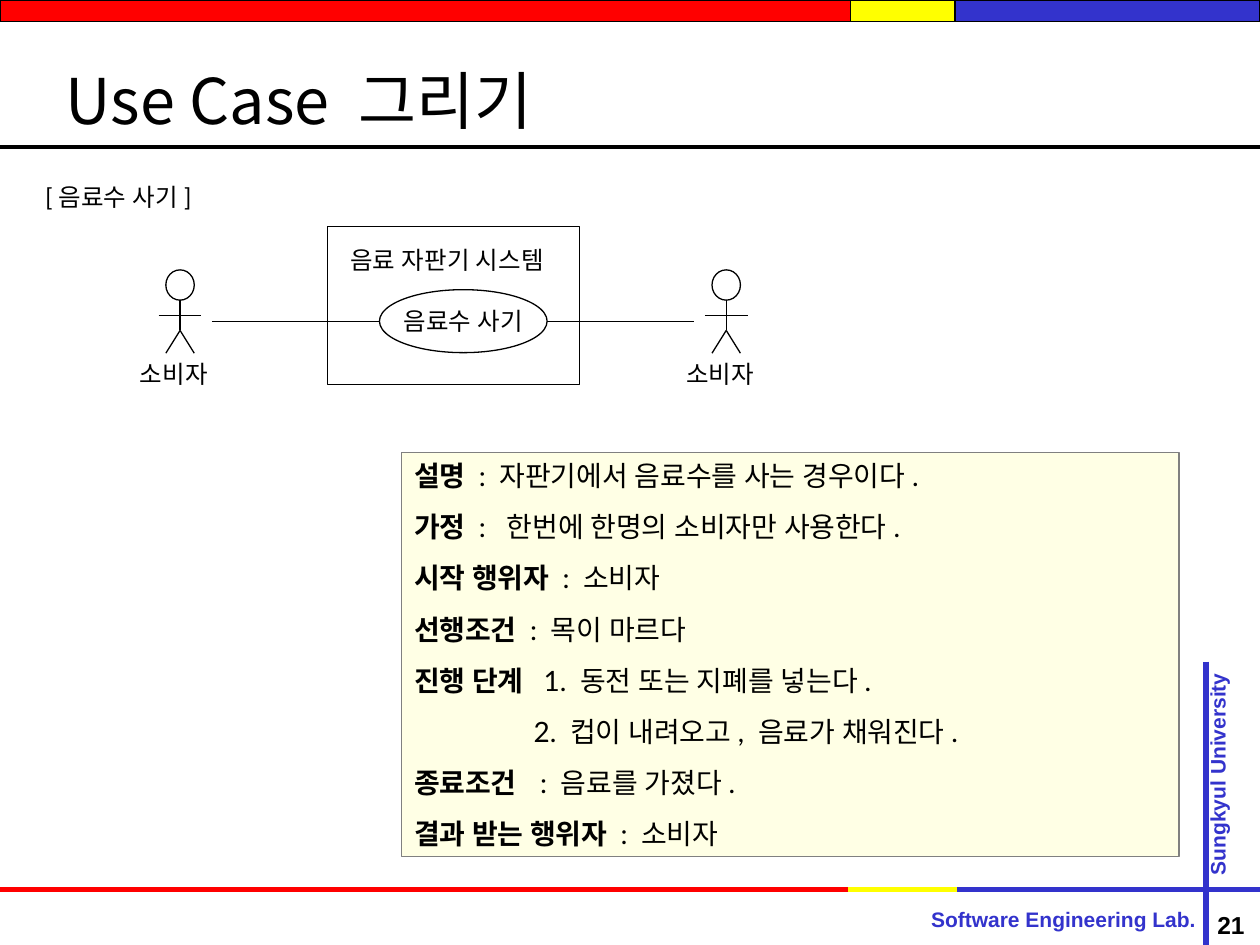
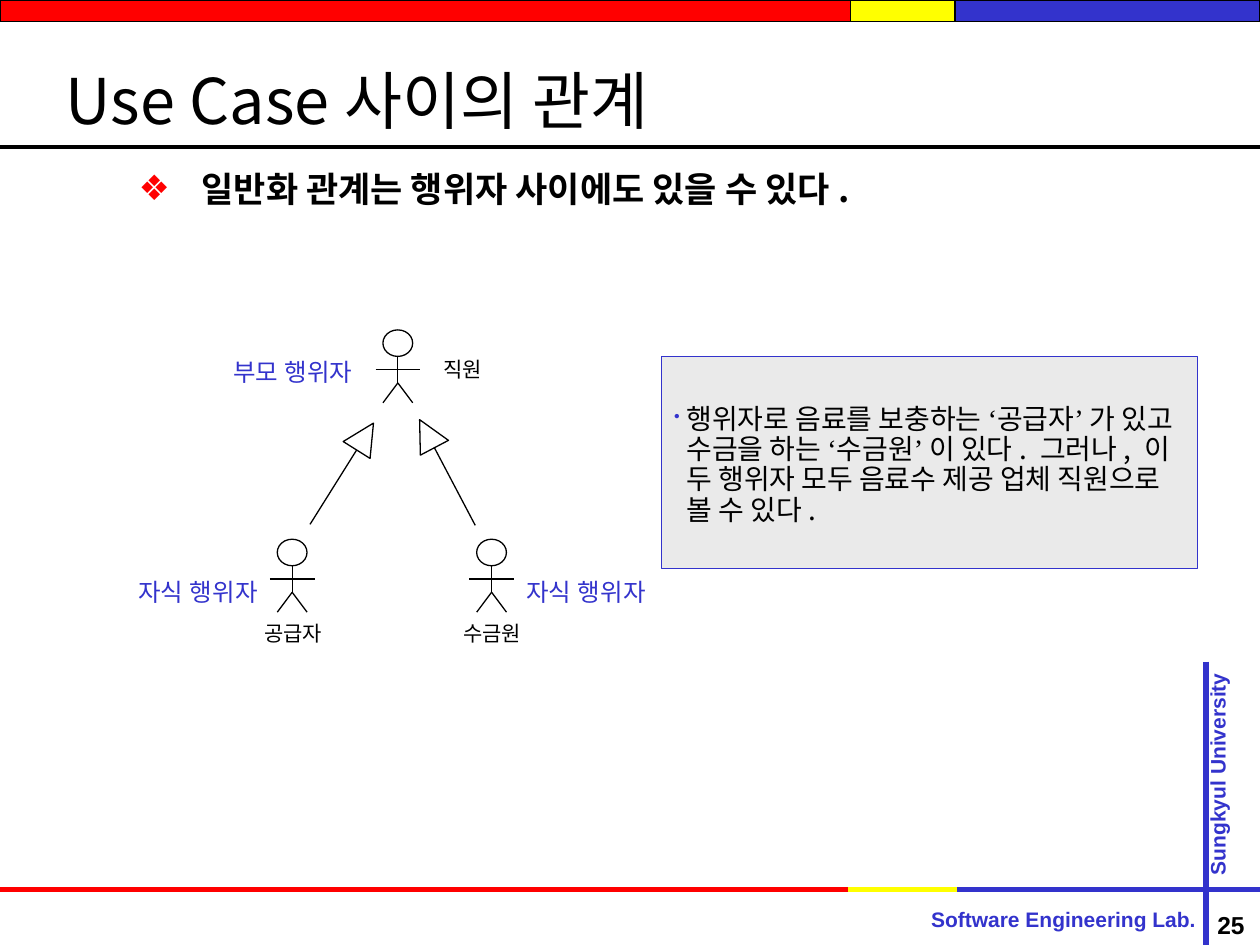
import math
from dataclasses import dataclass
from itertools import pairwise

import pptx
import pptx.dml.color
import pptx.enum.shapes
import pptx.enum.text
import pptx.oxml.ns
import pptx.util
from lxml import etree

Cm, Pt = pptx.util.Cm, pptx.util.Pt
SHAPE = pptx.enum.shapes.MSO_SHAPE
ALIGN = pptx.enum.text.PP_ALIGN
ANCHOR = pptx.enum.text.MSO_ANCHOR
qn = pptx.oxml.ns.qn


@dataclass(frozen=True)
class Theme:
    ink: str = "000000"
    red: str = "FF0000"
    yellow: str = "FFFF00"
    blue: str = "3333CC"
    cream: str = "FFFFCC"
    grey: str = "808080"
    pale_grey: str = "EAEAEA"
    heading_font: str = "Noto Sans CJK KR"
    text_font: str = "Lato"
    footer_font: str = "Arial"
    quote_font: str = "Times New Roman"
    title: float = 36
    statement: float = 20
    note: float = 16
    label: float = 14
    caption: float = 12
    thin: float = 0.75
    rule: float = 2.25
    band: float = 3


THEME = Theme()
BAND_COLORS = (THEME.red, THEME.yellow, THEME.blue)


def rgb(color):
    return pptx.dml.color.RGBColor.from_string(color)


def assign(target, **values):
    for attribute, value in values.items():
        setattr(target, attribute, value)


def move(shape, box):
    assign(shape, **dict(zip(("left", "top", "width", "height"), map(Cm, box))))


def set_insets(frame, horizontal=0.25, vertical=0.13):
    assign(frame, margin_left=Cm(horizontal), margin_right=Cm(horizontal),
           margin_top=Cm(vertical), margin_bottom=Cm(vertical))


def add_run(paragraph, text, size, font=THEME.text_font, color=THEME.ink, bold=False):
    run = paragraph.add_run()
    run.text = text
    assign(run.font, size=Pt(size), bold=bold, name=font)
    run.font.color.rgb = rgb(color)
    etree.SubElement(run.font._element, qn("a:ea")).set("typeface", font)


def set_indent(paragraph, margin, first_line):
    properties = paragraph._p.get_or_add_pPr()
    properties.set("marL", str(Cm(margin)))
    properties.set("indent", str(Cm(first_line)))


def set_bullet(paragraph, symbol, color, percent=100):
    properties = paragraph._p.get_or_add_pPr()
    bullet_color = etree.SubElement(properties, qn("a:buClr"))
    etree.SubElement(bullet_color, qn("a:srgbClr")).set("val", color)
    etree.SubElement(properties, qn("a:buSzPct")).set("val", str(percent * 1000))
    etree.SubElement(properties, qn("a:buChar")).set("char", symbol)


def add_outline(slide, kind, box, fill=None, line=THEME.ink):
    shape = slide.shapes.add_shape(kind, *map(Cm, box))
    shape.shadow.inherit = False
    if fill:
        shape.fill.solid()
        shape.fill.fore_color.rgb = rgb(fill)
    else:
        shape.fill.background()
    shape.line.color.rgb = rgb(line)
    shape.line.width = Pt(THEME.thin)
    return shape


def add_line(slide, start, end, color=THEME.ink, width=THEME.thin):
    line = slide.shapes.add_connector(
        pptx.enum.shapes.MSO_CONNECTOR.STRAIGHT, *map(Cm, (*start, *end)))
    line.line.color.rgb = rgb(color)
    line.line.width = Pt(width)
    etree.SubElement(line._element.spPr, qn("a:effectLst"))


def add_label(slide, box, text, size=THEME.label, align=ALIGN.LEFT, wrap=True, **font):
    label = slide.shapes.add_textbox(*map(Cm, box))
    frame = label.text_frame
    frame.word_wrap = wrap
    set_insets(frame)
    frame.paragraphs[0].alignment = align
    add_run(frame.paragraphs[0], text, size, **font)
    return frame


def add_frame(slide, page):
    """Draw the bands, rules and footer that every slide shares."""
    for (left, right), color in zip(pairwise((0, 17.15, 19.25, 25.4)), BAND_COLORS):
        add_outline(slide, SHAPE.RECTANGLE, (left, 0, right - left, 0.43), color)
    add_line(slide, (0, 2.97), (25.4, 2.97), width=THEME.rule)

    footer = dict(align=ALIGN.CENTER, wrap=False, font=THEME.footer_font, bold=True)
    number = add_label(slide, (24.23, 18.29, 1.17, 0.69), page, **footer)
    set_insets(number, 0, 0)
    number.vertical_anchor = ANCHOR.MIDDLE
    footer.update(size=THEME.caption, color=THEME.blue)
    add_label(slide, (18.52, 18.14, 5.84, 0.76), "Software Engineering Lab.", **footer)
    university = add_label(slide, (24.03, 13.44, 1.02, 4.34), "Sungkyul University", **footer)
    university.vertical_anchor = ANCHOR.MIDDLE
    university._txBody.bodyPr.set("vert", "vert270")

    for (left, right), color in zip(pairwise((0, 17.09, 19.3, 25.4)), BAND_COLORS):
        add_line(slide, (left, 17.93), (right, 17.93), color, THEME.band)
    add_line(slide, (24.31, 13.34), (24.31, 19.05), THEME.blue, THEME.band)


def add_slide(deck, layout, title, page):
    slide = deck.slides.add_slide(deck.slide_layouts.get_by_name(layout))
    add_frame(slide, page)
    move(slide.shapes.title, (1.07, 0.84, 23.29, 2.34))
    frame = slide.shapes.title.text_frame
    frame.vertical_anchor = ANCHOR.MIDDLE
    frame.paragraphs[0].alignment = ALIGN.LEFT
    add_run(frame.paragraphs[0], title, THEME.title, THEME.heading_font)
    return slide


def add_actor(slide, left, top, width, height):
    """Draw a stick figure that fills the box."""
    middle = left + width / 2
    neck, arms, hip = (top + height * part / 11 for part in (4, 6, 8))
    reach = width / 3
    add_outline(slide, SHAPE.OVAL, (middle - reach, top, 2 * reach, neck - top))
    add_line(slide, (middle, neck), (middle, hip))
    add_line(slide, (left, arms), (left + width, arms))
    for foot in (middle - reach, middle + reach):
        add_line(slide, (middle, hip), (foot, top + height))


def add_generalization(slide, start, tip, side=0.64):
    """Draw a line that ends in a hollow triangle at the tip."""
    angle = math.atan2(tip[0] - start[0], start[1] - tip[1])

    def behind_tip(distance):
        return tip[0] - distance * math.sin(angle), tip[1] + distance * math.cos(angle)

    add_line(slide, start, behind_tip(side))
    x, y = behind_tip(side / 2)
    head = add_outline(slide, SHAPE.ISOSCELES_TRIANGLE,
                       (x - side / 2, y - side / 2, side, side))
    head.rotation = math.degrees(angle)


def add_use_case_diagram(slide, left, top):
    for x in (0, 11.01):
        add_actor(slide, left + x + 0.63, top + 0.87, 0.86, 1.68)
        add_label(slide, (left + x, top + 2.54, 2.11, 0.86), "소비자")

    use_case = add_outline(slide, SHAPE.OVAL, (left + 5.08, top + 1.27, 3.38, 1.27))
    frame = use_case.text_frame
    assign(frame, word_wrap=False, vertical_anchor=ANCHOR.MIDDLE)
    frame.paragraphs[0].alignment = ALIGN.CENTER
    add_run(frame.paragraphs[0], "음료수 사기", THEME.label)

    add_outline(slide, SHAPE.RECTANGLE, (left + 4.03, top, 5.08, 3.18))
    add_label(slide, (left + 4.24, top + 0.23, 4.88, 0.86), "음료 자판기 시스템")
    for start, end in ((1.7, 5.08), (8.46, 11.43)):
        add_line(slide, (left + start, top + 1.91), (left + end, top + 1.91))


def add_scenario(slide, box):
    """List the description, conditions and steps of the use case."""
    entries = (
        ("설명 ", ": 자판기에서 음료수를 사는 경우이다."),
        ("가정 ", ":  한번에 한명의 소비자만 사용한다."),
        ("시작 행위자 ", ": 소비자"),
        ("선행조건 ", ": 목이 마르다"),
        ("진행 단계  ", "1. 동전 또는 지폐를 넣는다."),
        ("", "2. 컵이 내려오고, 음료가 채워진다."),
        ("종료조건 \t", ": 음료를 가졌다."),
        ("결과 받는 행위자 ", ": 소비자"),
    )
    panel = add_outline(slide, SHAPE.RECTANGLE, box, THEME.cream, THEME.grey)
    color = panel.fill._xPr.find(qn("a:solidFill"))[0]
    etree.SubElement(color, qn("a:alpha")).set("val", "50000")
    frame = panel.text_frame
    assign(frame, word_wrap=True, vertical_anchor=ANCHOR.TOP)
    set_insets(frame)
    for index, (term, detail) in enumerate(entries):
        paragraph = frame.add_paragraph() if index else frame.paragraphs[0]
        assign(paragraph, alignment=ALIGN.LEFT, space_before=Pt(10))
        if term:
            set_indent(paragraph, 1.27, -1.27)
            add_run(paragraph, term, THEME.note, bold=True)
        else:
            set_indent(paragraph, 2.41, 0)
        add_run(paragraph, detail, THEME.note)


def add_actor_hierarchy(slide, left, top):
    for x, y in ((5.03, 0), (2.9, 4.22), (6.92, 4.22)):
        add_actor(slide, left + x, top + y, 0.9, 1.47)
    for (x, y), (tip_x, tip_y) in (((3.71, 3.92), (4.99, 1.88)),
                                   ((7.04, 3.94), (5.92, 1.81))):
        add_generalization(slide, (left + x, top + y), (left + tip_x, top + tip_y))
    for x, y, name in ((6.15, 0.41, "직원"), (2.54, 5.72, "공급자"), (6.55, 5.72, "수금원")):
        add_label(slide, (left + x, top + y, 2.34, 0.76), name, THEME.caption)
    for x, y, role in ((1.91, 0.41, "부모 행위자"), (0, 4.86, "자식 행위자"),
                       (7.82, 4.86, "자식 행위자")):
        add_label(slide, (left + x, top + y, 3.38, 0.86), role, color=THEME.blue)


def add_explanation(slide, box):
    segments = ("행위자로 음료를 보충하는 ", "‘", "공급자", "’", " 가 있고 수금을 하는 ",
                "‘", "수금원", "’",
                " 이 있다. 그러나, 이 두 행위자 모두 음료수 제공 업체 직원으로 볼 수 있다.")
    panel = add_outline(slide, SHAPE.RECTANGLE, box, THEME.pale_grey, THEME.blue)
    frame = panel.text_frame
    set_insets(frame)
    assign(frame, word_wrap=True, vertical_anchor=ANCHOR.TOP, margin_top=Cm(0.98))
    paragraph = frame.paragraphs[0]
    assign(paragraph, alignment=ALIGN.LEFT, line_spacing=Pt(17.2))
    set_indent(paragraph, 0.25, -0.25)
    set_bullet(paragraph, "•", THEME.blue, 60)
    for segment in segments:
        font = THEME.quote_font if segment in "‘’" else THEME.heading_font
        add_run(paragraph, segment, THEME.note, font)


def add_statement(placeholder, box, text):
    move(placeholder, box)
    frame = placeholder.text_frame
    frame.margin_top = 0
    paragraph = frame.paragraphs[0]
    paragraph.space_before = Pt(0)
    set_indent(paragraph, 2.74, -1.27)
    set_bullet(paragraph, "❖", THEME.red)
    add_run(paragraph, text, THEME.statement, THEME.heading_font, bold=True)


def build_drawing_slide(deck):
    slide = add_slide(deck, "Title Only", "Use Case 그리기", "21")
    add_scenario(slide, (8.1, 9.12, 15.67, 8.15))
    add_label(slide, (0.66, 3.53, 4.88, 0.86), "[음료수 사기]")
    add_use_case_diagram(slide, 2.57, 4.57)


def build_relation_slide(deck):
    slide = add_slide(deck, "Title and Content", "Use Case사이의 관계", "25")
    add_statement(slide.placeholders[1], (1.07, 3.38, 23.29, 14.4),
                  "일반화 관계는 행위자 사이에도 있을 수 있다.")
    add_actor_hierarchy(slide, 2.54, 6.65)
    add_explanation(slide, (13.34, 7.19, 10.8, 4.27))


def main():
    deck = pptx.Presentation()
    assign(deck, slide_width=Cm(25.4), slide_height=Cm(19.05))
    build_drawing_slide(deck)
    build_relation_slide(deck)
    deck.save("out.pptx")


if __name__ == "__main__":
    main()
